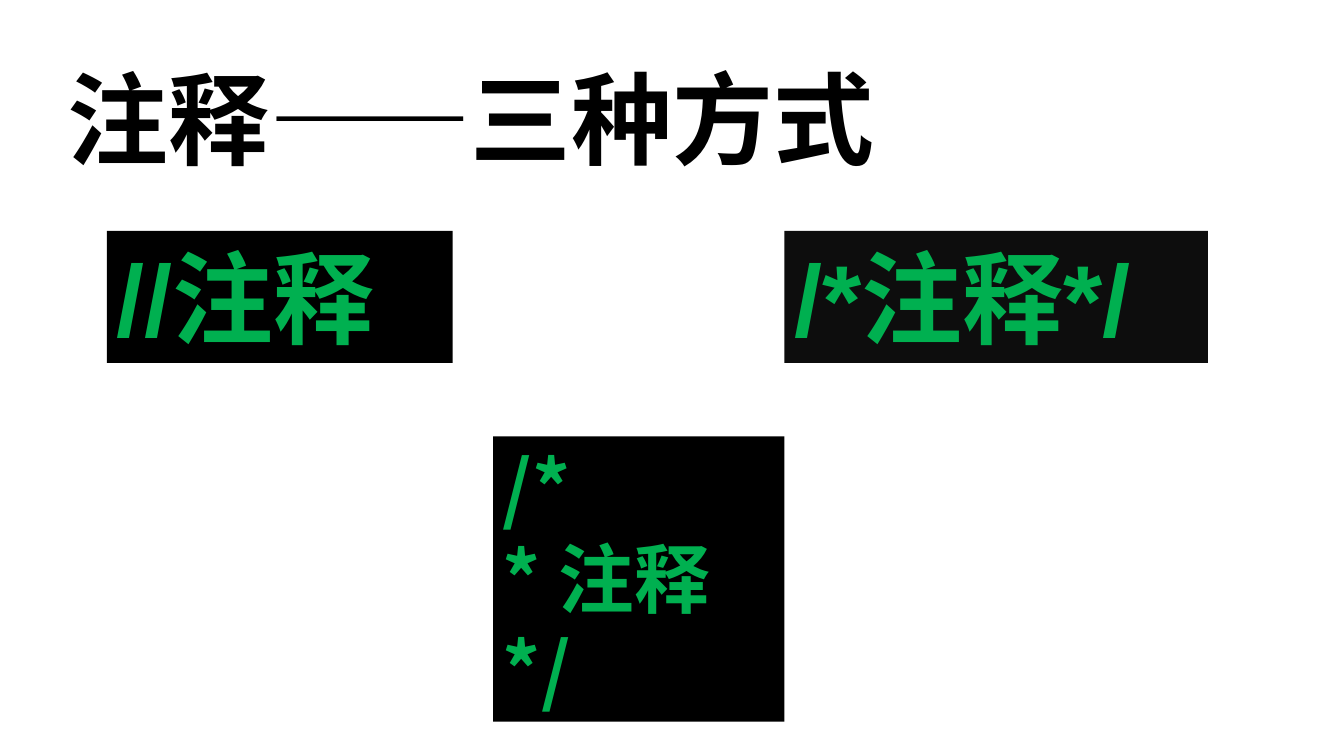
from dataclasses import dataclass
from typing import Optional

from lxml import etree
from pptx import Presentation
from pptx import util as u
from pptx.dml.color import RGBColor
from pptx.enum import lang, shapes, text
from pptx.oxml import ns

COLORS = {"white": "FFFFFF", "black": "000000", "charcoal": "0D0D0D", "green": "00B050"}
CHINESE_FONT = "Noto Sans CJK SC"


@dataclass(frozen=True)
class Panel:
    lines: tuple[str, ...]
    left: float
    top: float
    width: float
    height: float
    fill: Optional[str] = "black"
    color: str = "green"
    size: int = 72
    font: str = "Arial"


PANELS = (
    Panel(("注释——三种方式",), 0.57, 0.51, 11.02, 1.31, fill=None, color="black"),
    Panel(("//注释",), 1.06, 2.29, 3.43, 1.31),
    Panel(("/*注释*/",), 7.78, 2.29, 4.2, 1.31, fill="charcoal"),
    Panel(("/*", "* 注释", "*/"), 4.89, 4.33, 2.89, 2.83, size=54, font=CHINESE_FONT),
)


def rgb(name: str) -> RGBColor:
    return RGBColor.from_string(COLORS[name])


def write_line(paragraph, content: str, *, size: int, font: str, color: str) -> None:
    paragraph.alignment = text.PP_ALIGN.LEFT
    run = paragraph.add_run()
    run.text = content
    run.font.size = u.Pt(size)
    run.font.bold = True
    run.font.color.rgb = rgb(color)
    run.font.name = font
    run.font.language_id = lang.MSO_LANGUAGE_ID.SIMPLIFIED_CHINESE
    latin = run.font._element.find(ns.qn("a:latin"))
    east_asian = etree.Element(ns.qn("a:ea"), typeface=CHINESE_FONT)
    latin.addnext(east_asian)


def draw_panel(slide, panel: Panel) -> None:
    bounds = [u.Inches(n) for n in (panel.left, panel.top, panel.width, panel.height)]
    if panel.fill is None:
        shape = slide.shapes.add_textbox(*bounds)
    else:
        shape = slide.shapes.add_shape(shapes.MSO_SHAPE.RECTANGLE, *bounds)
        shape.shadow.inherit = False
        shape.fill.solid()
        shape.fill.fore_color.rgb = rgb(panel.fill)
        shape.line.fill.background()
    frame = shape.text_frame
    frame.word_wrap = True
    frame.auto_size = text.MSO_AUTO_SIZE.SHAPE_TO_FIT_TEXT
    frame.vertical_anchor = text.MSO_ANCHOR.TOP
    for index, content in enumerate(panel.lines):
        paragraph = frame.add_paragraph() if index else frame.paragraphs[0]
        write_line(paragraph, content, size=panel.size, font=panel.font, color=panel.color)


def main() -> None:
    presentation = Presentation()
    presentation.slide_width = u.Inches(13.33)
    presentation.slide_height = u.Inches(7.5)
    slide = presentation.slides.add_slide(presentation.slide_layouts[6])
    slide.background.fill.solid()
    slide.background.fill.fore_color.rgb = rgb("white")
    for panel in PANELS:
        draw_panel(slide, panel)
    presentation.save("out.pptx")


if __name__ == "__main__":
    main()
